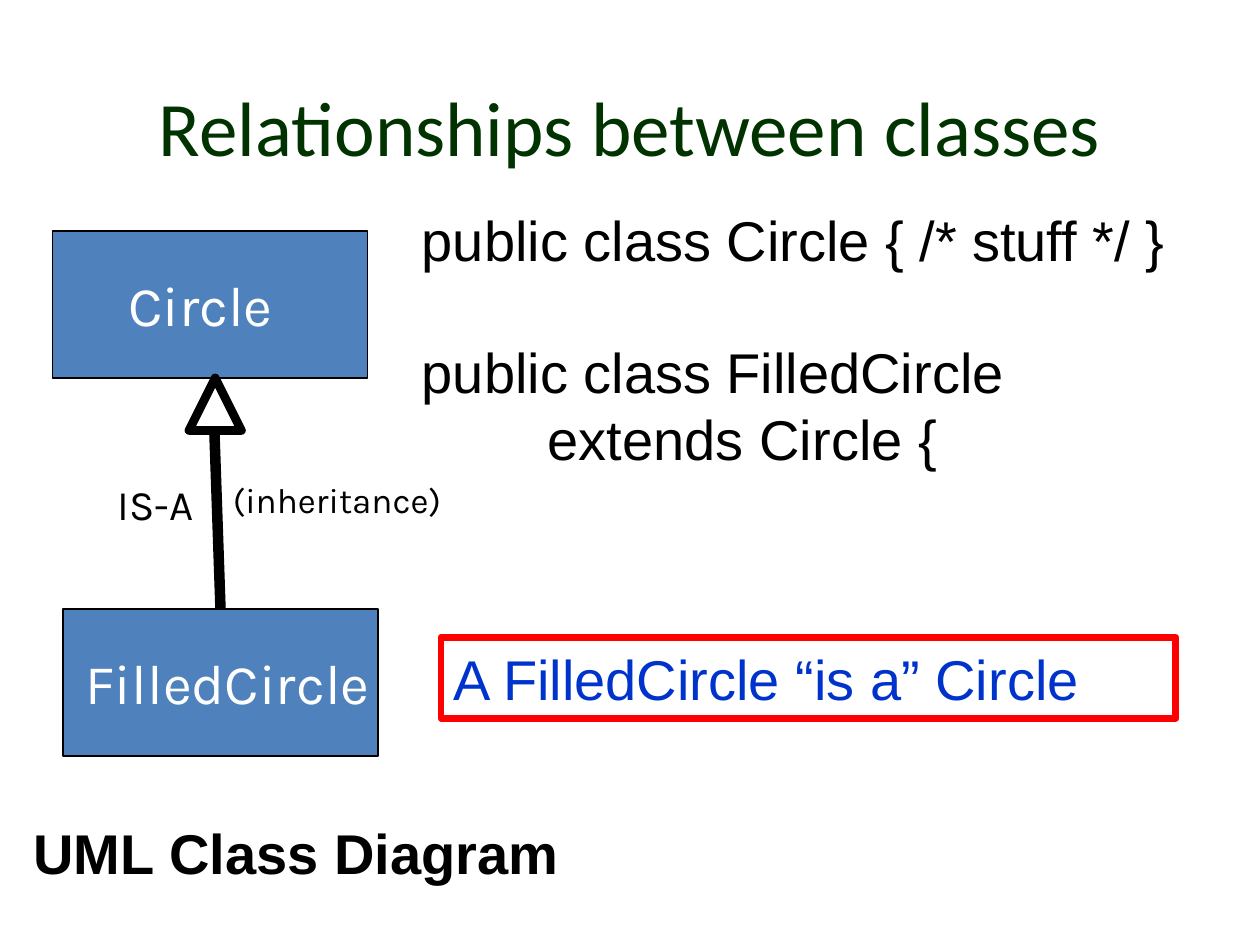
from pptx import Presentation, util as u
from pptx.dml.color import RGBColor
from pptx.enum import shapes, text
from pptx.oxml.ns import qn

BLACK = RGBColor(0x00, 0x00, 0x00)
WHITE = RGBColor(0xFF, 0xFF, 0xFF)
GREEN = RGBColor(0x00, 0x33, 0x00)
BLUE = RGBColor(0x00, 0x33, 0xCC)
RED = RGBColor(0xFF, 0x00, 0x00)
CLASS_FILL = RGBColor(0x4F, 0x81, 0xBD)
COLUMNS, ROWS = 120, 90


class ClassDiagram:
    body_font = "Arial"
    label_font = "Karla"
    title_font = "Calibri"

    def __init__(self, prs):
        self.cell_w = prs.slide_width / COLUMNS
        self.cell_h = prs.slide_height / ROWS
        self.s = prs.slides.add_slide(prs.slide_layouts[5])

    def box(self, col, row, cols, rows):
        return (u.Emu(round(col * self.cell_w)), u.Emu(round(row * self.cell_h)),
                u.Emu(round(cols * self.cell_w)), u.Emu(round(rows * self.cell_h)))

    def set_text(self, p, words, font, size, color, bold=False):
        p.text = words
        p.font.name, p.font.size = font, u.Pt(size)
        p.font.color.rgb, p.font.bold = color, bold

    def title(self, words, *grid):
        sp = self.s.shapes.title
        sp.left, sp.top, sp.width, sp.height = self.box(*grid)
        tf = sp.text_frame
        tf.vertical_anchor = text.MSO_ANCHOR.MIDDLE
        p = tf.paragraphs[0]
        p.alignment = text.PP_ALIGN.CENTER
        self.set_text(p, words, self.title_font, 44, GREEN)

    def label(self, words, *grid, font=body_font, size=32, bold=False):
        tf = self.s.shapes.add_textbox(*self.box(*grid)).text_frame
        tf.word_wrap = True
        self.set_text(tf.paragraphs[0], words, font, size, BLACK, bold)
        return tf

    def code(self, lines, *grid):
        (first, _, _), *rest = lines
        tf = self.label(first, *grid)
        for words, indent, before in rest:
            p = tf.add_paragraph()
            self.set_text(p, words, self.body_font, 32, BLACK)
            p.space_before = u.Pt(before)
            p._p.get_or_add_pPr().set("marL", str(u.Inches(indent)))

    def shape(self, kind, *grid, fill=None, line=BLACK, weight=0.75):
        sp = self.s.shapes.add_shape(kind, *self.box(*grid))
        sp.shadow.inherit = False
        if fill is None:
            sp.fill.background()
        else:
            sp.fill.solid()
            sp.fill.fore_color.rgb = fill
        sp.line.color.rgb, sp.line.width = line, u.Pt(weight)
        return sp

    def fill_text(self, sp, words, font, color, inset):
        tf = sp.text_frame
        tf.word_wrap = True
        tf.vertical_anchor = text.MSO_ANCHOR.MIDDLE
        tf.margin_left, tf.margin_right = u.Inches(inset), 0
        p = tf.paragraphs[0]
        p.alignment = text.PP_ALIGN.LEFT
        self.set_text(p, words, font, 32, color)

    def class_box(self, name, col, row, inset):
        sp = self.shape(shapes.MSO_SHAPE.RECTANGLE, col, row, 30, 14, fill=CLASS_FILL)
        self.fill_text(sp, name, self.label_font, WHITE, inset)
        return sp

    def callout(self, words, *grid):
        sp = self.shape(shapes.MSO_SHAPE.RECTANGLE, *grid, line=RED, weight=4)
        self.fill_text(sp, words, self.body_font, BLUE, 0.1)

    def inheritance(self, child, col, row):
        x, y, _, _ = self.box(col + 2.4, row + 4.6, 0, 0)
        c = self.s.shapes.add_connector(shapes.MSO_CONNECTOR.STRAIGHT, x, y, x, y)
        c.begin_connect(child, 0)
        c.line.color.rgb, c.line.width = BLACK, u.Pt(6)
        c._element.spPr.append(c._element.makeelement(qn("a:effectLst"), {}))
        self.shape(shapes.MSO_SHAPE.ISOSCELES_TRIANGLE, col, row, 5, 5,
                   fill=WHITE, weight=5)


def main():
    prs = Presentation()
    prs.slide_width, prs.slide_height = u.Inches(10), u.Inches(7.5)
    d = ClassDiagram(prs)
    d.title("Relationships between classes", 6, 6, 108, 12)
    d.label("UML Class Diagram", 2, 77.4, 60, 7.7, bold=True)
    d.code([("public class Circle { /* stuff */ }", 0, 0),
            ("public class FilledCircle", 0, 37),
            ("extends Circle {", 1, 0)], 39, 19, 78, 27)
    d.callout("A FilledCircle “is a” Circle", 42, 60.7, 70, 7.7)
    d.class_box("Circle", 5, 22, 0.6)
    child = d.class_box("FilledCircle", 6, 58, 0.18)
    d.label("IS-A", 10, 45, 15, 6, font=d.label_font, size=24)
    d.label("(inheritance)", 21, 45, 24, 5.25, font=d.label_font, size=20)
    d.inheritance(child, 18, 36)
    prs.save("out.pptx")


if __name__ == "__main__":
    main()
